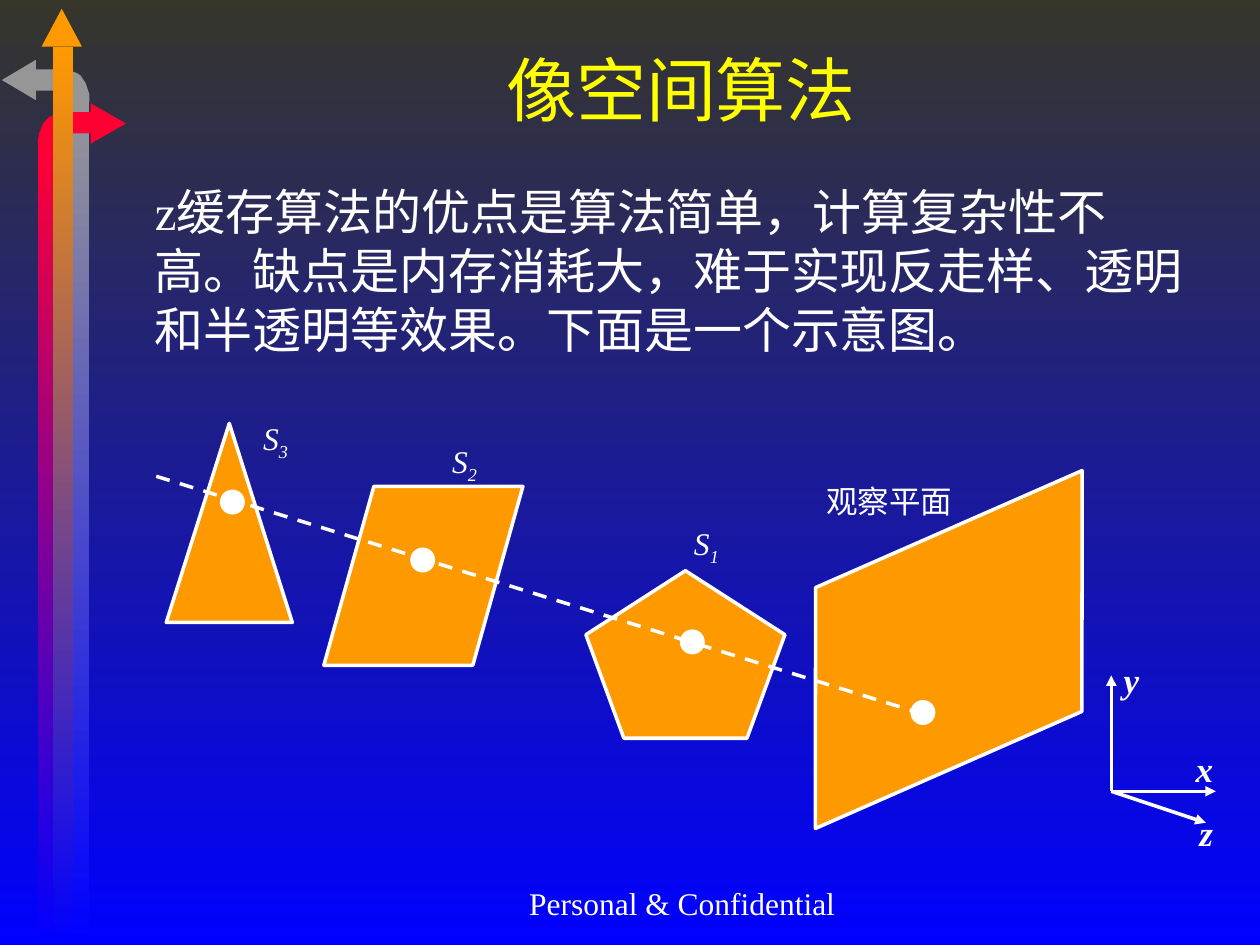
from lxml import etree
from pptx import Presentation
from pptx.dml.color import RGBColor
from pptx.enum.dml import MSO_LINE
from pptx.enum.shapes import MSO_CONNECTOR, MSO_SHAPE
from pptx.enum.text import MSO_ANCHOR, PP_ALIGN
from pptx.oxml.ns import qn
from pptx.util import Inches, Pt

RECT, OVAL = MSO_SHAPE.RECTANGLE, MSO_SHAPE.OVAL
WEDGE, SLANT = MSO_SHAPE.ISOSCELES_TRIANGLE, MSO_SHAPE.PARALLELOGRAM
PENTA = MSO_SHAPE.REGULAR_PENTAGON
LINE, DASH = MSO_CONNECTOR.STRAIGHT, MSO_LINE.DASH
TOP, MID = MSO_ANCHOR.TOP, MSO_ANCHOR.MIDDLE
LEFT, MIDST = PP_ALIGN.LEFT, PP_ALIGN.CENTER
FONT = "Times New Roman"
HEX = {"dusk": "36362B", "blue": "0000FF", "gray": "969696", "gold": "FF9900",
       "red": "FF0033", "white": "FFFFFF", "yellow": "FFFF00"}
TONE = {name: RGBColor.from_string(code) for name, code in HEX.items()}

deck = Presentation()
deck.slide_width, deck.slide_height = Inches(10), Inches(7.5)
CELL = deck.slide_width / 100  # the grid has 100 columns and 75 rows
slide = deck.slides.add_slide(deck.slide_layouts[6])
shapes = slide.shapes


def paint(item, tone, fade=False, edge=False):
    """Fill a shape, plain or fading down to blue, with or without an edge."""
    item.shadow.inherit = False
    if fade:
        item.fill.gradient()
        item.fill.gradient_angle = 270
        for stop, name in zip(item.fill.gradient_stops, (tone, "blue")):
            stop.color.rgb = TONE[name]
    else:
        item.fill.solid()
        item.fill.fore_color.rgb = TONE[tone]
    if edge:
        item.line.color.rgb = TONE["white"]
        item.line.width = Pt(2)
    else:
        item.line.fill.background()


def write(box, runs, size, tone="white", wrap=False, anchor=TOP, align=LEFT,
          inset=1, bold=False, before=0):
    """Add a text box; each run is (text, italic, lowered)."""
    frame = shapes.add_textbox(*[round(v * CELL) for v in box]).text_frame
    frame.word_wrap, frame.vertical_anchor = wrap, anchor
    frame.margin_left = round(inset * CELL)
    para = frame.paragraphs[0]
    para.alignment, para.space_before = align, Pt(before)
    # Keep closing marks inside the margin
    para._p.get_or_add_pPr().set("hangingPunct", "0")
    for words, slope, low in runs:
        run = para.add_run()
        run.text = words
        font = run.font
        font.name, font.size, font.color.rgb = FONT, Pt(size), TONE[tone]
        font.italic, font.bold = slope, bold
        if low:
            run._r.get_or_add_rPr().set("baseline", "-25000")


# Background
back = slide.background.fill
back.gradient()
back.gradient_angle = 270
for stop, name in zip(back.gradient_stops, ("dusk", "blue")):
    stop.color.rgb = TONE[name]

# Bent arrows on the left: (kind, left, top, width, height, turn, tone, fade)
# and bends as outlines in tenths of a cell
GRAY_BEND = [(44, 55), (44, 72), (47, 72), (51, 73), (53, 76), (55, 78),
             (55, 81), (71, 81), (71, 78), (71, 75), (70, 72), (69, 69),
             (68, 66), (66, 63), (64, 60), (61, 58), (58, 57), (55, 56),
             (51, 55)]
RED_BEND = [(57, 89), (57, 106), (54, 106), (51, 107), (48, 109), (47, 112),
            (47, 115), (30, 115), (30, 111), (31, 108), (31, 106), (32, 104),
            (33, 101), (34, 99), (35, 97), (37, 95), (39, 93), (41, 92),
            (45, 90), (50, 89)]
parts = [
    (RECT, 2.8, 5.5, 1.6, 1.7, 0, "gray", False),
    (GRAY_BEND, "gray"),
    (WEDGE, -0.1, 5, 3.2, 2.7, 270, "gray", False),
    (WEDGE, 3.3, 0.7, 3.2, 3, 0, "gold", False),
    (RECT, 5.5, 8.1, 1.6, 66.9, 0, "gray", True),
    (RED_BEND, "red"),
    (WEDGE, 7, 8.4, 3.2, 2.8, 90, "red", False),
    (RECT, 5.7, 8.9, 1.6, 1.7, 0, "red", False),
    (RECT, 3, 11.4, 1.6, 63.6, 0, "red", True),
    (RECT, 4.2, 3.7, 1.6, 71.3, 0, "gold", True),
]
for part in parts:
    if len(part) == 2:
        dots, tone = part
        pen = shapes.build_freeform(*dots[0], scale=CELL / 10)
        pen.add_line_segments(dots[1:], close=True)
        paint(pen.convert_to_shape(), tone)
    else:
        kind, *box, turn, tone, fade = part
        item = shapes.add_shape(kind, *[round(v * CELL) for v in box])
        item.rotation = turn
        paint(item, tone, fade)

# Footer, title and body
write((38.3, 69.2, 31.7, 5), [("Personal & Confidential", False, False)], 18,
      anchor=MID, align=MIDST)
write((11.8, 3.2, 84.5, 7.7), [("像空间算法", False, False)], 40, "yellow",
      wrap=True, anchor=MID, align=MIDST)
BODY = ("z缓存算法的优点是算法简单，计算复杂性不高。缺点是内存消耗大，"
        "难于实现反走样、透明和半透明等效果。下面是一个示意图。")
write((7.5, 13.9, 88.8, 16.5), [(BODY, False, False)], 28, wrap=True,
      inset=4.8, before=7)

# Surfaces and the viewing plane: (kind, box, turn, slant)
for kind, box, turn, slant in [
    (WEDGE, (13.2, 33.6, 10, 15.8), 0, 0.5),
    (SLANT, (25.7, 38.6, 15.8, 14.2), 0, 0.28),
    (PENTA, (46.5, 45.3, 15.8, 13.3), 0, None),
    (SLANT, (59.9, 42.8, 30.8, 17.5), 336.3, 0.44),
]:
    item = shapes.add_shape(kind, *[round(v * CELL) for v in box])
    item.rotation = turn
    if slant:
        item.adjustments[0] = slant
    paint(item, "gold", edge=True)

# Axes with arrowheads, then the dashed ray
HUB = (88.2, 62.8)
for start, end, ray in [
    (HUB, (96.5, 62.8), False),
    (HUB, (88.2, 53.6), False),
    (HUB, (95.7, 65.3), False),
    ((12.4, 37.8), (74, 56.9), True),
]:
    wire = shapes.add_connector(LINE, *[round(v * CELL) for v in start + end])
    wire.line.color.rgb = TONE["white"]
    wire.line.width = Pt(2)
    if ray:
        wire.line.dash_style = DASH
    else:
        tip = etree.SubElement(wire.line._get_or_add_ln(), qn("a:tailEnd"))
        tip.set("type", "triangle")
    etree.SubElement(wire._element.spPr, qn("a:effectLst"))

# Points where the ray meets each surface
for x, y in [(17.6, 39), (32.7, 43.6), (54.1, 50.1), (72.4, 55.7)]:
    dot = shapes.add_shape(OVAL, *[round(v * CELL) for v in (x, y, 1.7, 1.7)])
    paint(dot, "white", edge=True)

# Labels
for name, x, y in [("x", 93.9, 58.8), ("y", 88.2, 51.8), ("z", 94.2, 63.9)]:
    write((x, y, 3.2, 4.4), [(name, True, False)], 20, bold=True)
write((64, 37.8, 12.6, 4), [("观察平面", False, False)], 18, inset=1.6)
for mark, x, y in [("1", 54.1, 41.1), ("2", 34.9, 34.6), ("3", 19.9, 32.8)]:
    write((x, y, 4, 4.4), [("S", True, False), (mark, True, True)], 18)

deck.save("out.pptx")
